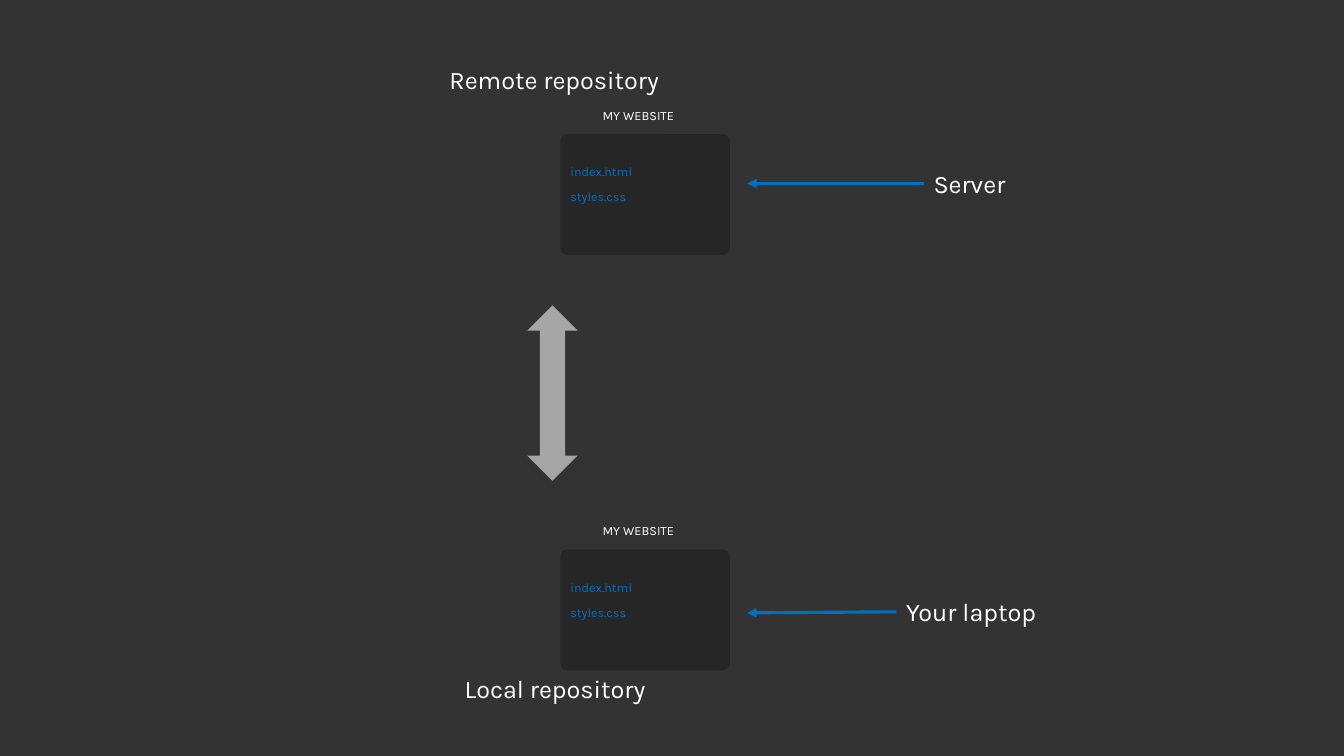
from dataclasses import dataclass

from lxml.etree import SubElement
from pptx import Presentation
from pptx.dml.color import RGBColor
from pptx.enum.shapes import MSO_CONNECTOR, MSO_SHAPE
from pptx.enum.text import MSO_AUTO_SIZE
from pptx.oxml.ns import qn
from pptx.util import Inches, Pt


@dataclass(frozen=True)
class Theme:
    font: str = "Karla"
    background: str = "333333"
    card: str = "262626"
    accent: str = "0070C0"
    sync: str = "A6A6A6"
    text: str = "FFFFFF"
    label_size: float = 18
    file_size: float = 9
    line_width: float = 2.25


class Diagram:
    """Draws on one slide; every length is a percentage of its width or height."""

    def __init__(self, prs, theme):
        self.theme = theme
        self.width, self.height = prs.slide_width, prs.slide_height
        self.s = prs.slides.add_slide(prs.slide_layouts[6])
        self.paint(self.s.background.fill, theme.background)

    def paint(self, fill, color):
        fill.solid()
        fill.fore_color.rgb = RGBColor.from_string(color)

    def place(self, *shares):
        """Turn alternating x and y shares into slide lengths."""
        return [round(share / 100 * (self.height if i % 2 else self.width))
                for i, share in enumerate(shares)]

    def shape(self, kind, box, color):
        sp = self.s.shapes.add_shape(kind, *self.place(*box))
        sp.shadow.inherit = False
        self.paint(sp.fill, color)
        sp.line.fill.background()
        return sp

    def text(self, words, box, size, color, wrap=True):
        tf = self.s.shapes.add_textbox(*self.place(*box)).text_frame
        frame_format = {"word_wrap": wrap, "auto_size": MSO_AUTO_SIZE.SHAPE_TO_FIT_TEXT}
        for name, value in frame_format.items():
            setattr(tf, name, value)
        r = tf.paragraphs[0].add_run()
        r.text = words
        for name, value in {"name": self.theme.font, "size": Pt(size)}.items():
            setattr(r.font, name, value)
        r.font.color.rgb = RGBColor.from_string(color)

    def label(self, words, x, y, w):
        self.text(words, (x, y, w, 5.33), self.theme.label_size, self.theme.text, wrap=False)

    def repository(self, name, files, x, y):
        """A card listing its files, with the name above it."""
        w, h, row = 12.6, 16, 3.33
        t = self.theme
        card = self.shape(MSO_SHAPE.ROUNDED_RECTANGLE, (x, y, w, h), t.card)
        card.adjustments[0] = 0.057
        self.text(name, (x + 2.4, y - 4.13, w, row), t.file_size, t.text)
        for i, file in enumerate(files, 1):
            self.text(file, (x, y + i * row, w, row), t.file_size, t.accent)

    def arrow(self, start, end):
        c = self.s.shapes.add_connector(MSO_CONNECTOR.STRAIGHT, *self.place(*start, *end))
        c.line.width = Pt(self.theme.line_width)
        c.line.color.rgb = RGBColor.from_string(self.theme.accent)
        SubElement(c.line._get_or_add_ln(), qn("a:tailEnd"), type="triangle")
        SubElement(c._element.spPr, qn("a:effectLst"))


def main():
    prs = Presentation()
    prs.slide_width, prs.slide_height = Inches(13.33), Inches(7.5)
    theme = Theme()
    d = Diagram(prs, theme)

    for top in (72.67, 17.73):
        d.repository("MY WEBSITE", ("index.html", "styles.css"), 41.7, top)

    for words, x, y, w in (
        ("Local repository", 33.83, 88.4, 15.83),
        ("Remote repository", 32.7, 7.87, 18),
        ("Your laptop", 66.69, 78.27, 11.48),
        ("Server", 68.72, 21.6, 7.35),
    ):
        d.label(words, x, y, w)

    arrow_tip = 55.59
    d.arrow((68.72, 24.27), (arrow_tip, 24.27))
    d.arrow((66.69, 80.93), (arrow_tip, 81.07))
    d.shape(MSO_SHAPE.UP_DOWN_ARROW, (39.23, 40.4, 3.75, 23.2), theme.sync)

    prs.save("out.pptx")


if __name__ == "__main__":
    main()
